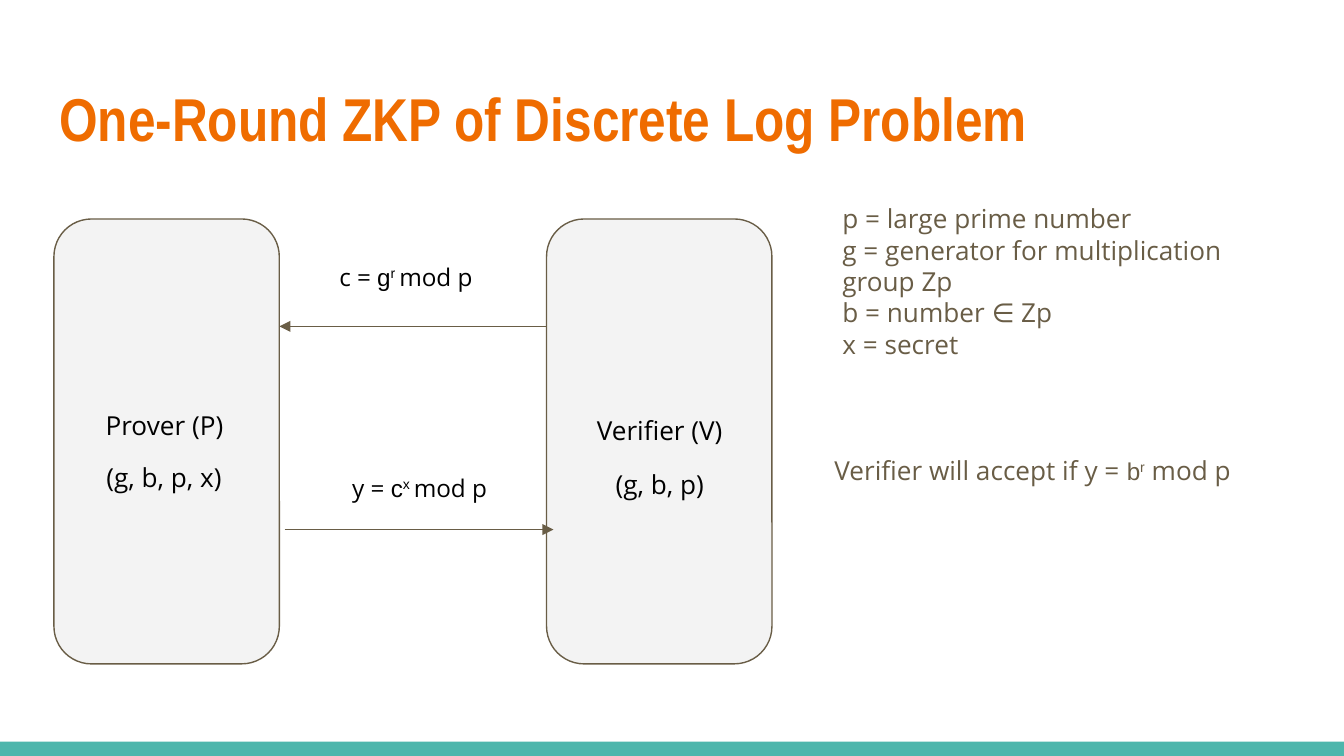
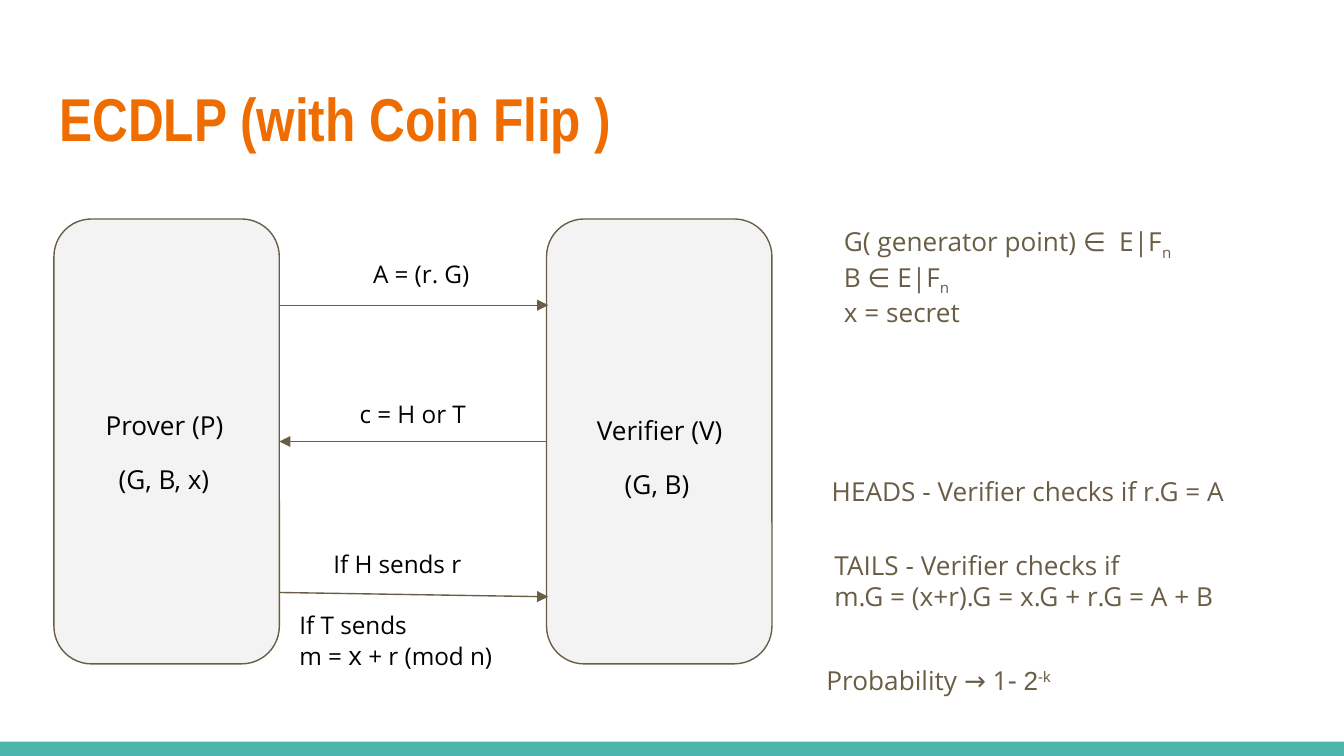
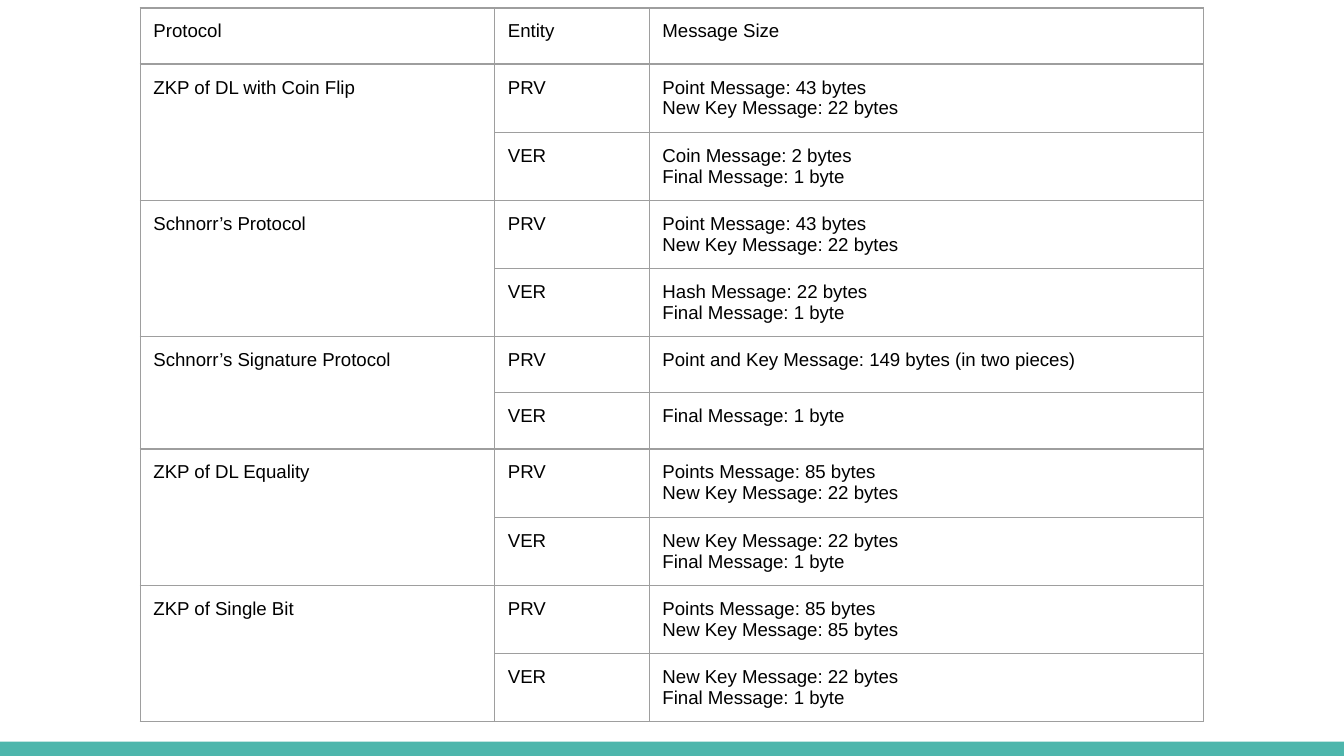
from dataclasses import dataclass

import pptx
import pptx.dml.color
import pptx.enum.shapes
import pptx.enum.text
import pptx.oxml
import pptx.oxml.ns
import pptx.util
from pptx.util import Cm

ALIGN = pptx.enum.text.PP_ALIGN
ANCHOR = pptx.enum.text.MSO_ANCHOR
AUTO_SIZE = pptx.enum.text.MSO_AUTO_SIZE
SHAPE = pptx.enum.shapes.MSO_SHAPE
CONNECTOR = pptx.enum.shapes.MSO_CONNECTOR
LEFT_SIDE, RIGHT_SIDE = 1, 3
TITLE_ONLY, BLANK = 5, 6


@dataclass(frozen=True)
class Theme:
    accent: str = "EF6C00"
    band: str = "4DB6AC"
    panel: str = "F3F3F3"
    muted: str = "695D46"
    ink: str = "000000"
    grid: str = "9E9E9E"
    title_font: str = "Arial Narrow"
    text_font: str = "Open Sans"
    plain_font: str = "Arial"
    title_size: float = 32.4
    text_size: float = 14
    message_size: float = 13
    dash_size: float = 15
    table_size: float = 10
    line_width: float = 0.75


THEME = Theme()
FRAME = dict.fromkeys(("margin_left", "margin_top", "margin_right", "margin_bottom"), Cm(0.25))
TITLE = {"name": THEME.title_font, "size": THEME.title_size, "color": THEME.accent, "bold": True}
PARTY = {"name": THEME.text_font, "size": THEME.text_size, "color": THEME.ink}
MESSAGE = {**PARTY, "size": THEME.message_size}
NOTE = {**PARTY, "color": THEME.muted}
TABLE = {"name": THEME.plain_font, "size": THEME.table_size, "color": THEME.ink}
PLAIN = {"name": THEME.plain_font}
RAISED = {**PLAIN, "baseline": 30000}
LOWERED = {"baseline": -25000}


def color(value):
    return pptx.dml.color.RGBColor.from_string(value)


def assign(target, values):
    for name, value in values.items():
        setattr(target, name, value)


def element(tag, **attributes):
    node = pptx.oxml.parse_xml(f"<a:{tag} {pptx.oxml.ns.nsdecls('a')}/>")
    for name, value in attributes.items():
        node.set(name, str(value))
    return node


class SlideMaker:
    def __init__(self, presentation, theme):
        self.presentation = presentation
        self.theme = theme
        self.slide = None

    def start(self, layout, title=None):
        self.slide = self.presentation.slides.add_slide(self.presentation.slide_layouts[layout])
        if title:
            shape = self.slide.shapes.title
            assign(shape, {"left": Cm(0.87), "top": Cm(1.24), "width": Cm(23.67), "height": Cm(1.96)})
            assign(shape.text_frame, {"auto_size": AUTO_SIZE.NONE, "vertical_anchor": ANCHOR.MIDDLE})
            self.fill_text(shape.text_frame, [title], TITLE)

    def master_band(self):
        band = self.box(SHAPE.RECTANGLE, 0, 14.02, 25.4, 0.27, self.theme.band)
        band.element.nvSpPr.cNvPr.set("id", "20")
        self.presentation.slide_master.element.cSld.spTree.append(band.element)

    def box(self, kind, left, top, width, height, fill, line=None):
        shape = self.slide.shapes.add_shape(kind, Cm(left), Cm(top), Cm(width), Cm(height))
        shape.shadow.inherit = False
        shape.fill.solid()
        shape.fill.fore_color.rgb = color(fill)
        if line:
            self.outline(shape.line, line)
        else:
            shape.line.fill.background()
        return shape

    def outline(self, line, value):
        line.color.rgb = color(value)
        line.width = pptx.util.Pt(self.theme.line_width)

    def fill_text(self, frame, paragraphs, style, align=ALIGN.LEFT):
        assign(frame, {**FRAME, "word_wrap": True})
        for index, content in enumerate(paragraphs):
            paragraph = frame.add_paragraph() if index else frame.paragraphs[0]
            paragraph.alignment = align
            runs = [(content, {})] if isinstance(content, str) else content
            for text, changes in runs:
                values = {**style, **changes}
                run = paragraph.add_run()
                run.text = text
                run.font.color.rgb = color(values.pop("color"))
                baseline = values.pop("baseline", None)
                values["size"] = pptx.util.Pt(values["size"])
                assign(run.font, values)
                if baseline:
                    run._r.get_or_add_rPr().set("baseline", str(baseline))

    def text(self, left, top, width, height, paragraphs, style, align=ALIGN.LEFT):
        shape = self.slide.shapes.add_textbox(Cm(left), Cm(top), Cm(width), Cm(height))
        self.fill_text(shape.text_frame, paragraphs, style, align)
        shape.text_frame.auto_size = AUTO_SIZE.SHAPE_TO_FIT_TEXT

    def arrow(self, begin_x, begin_y, end_x, end_y):
        points = map(Cm, (begin_x, begin_y, end_x, end_y))
        connector = self.slide.shapes.add_connector(CONNECTOR.STRAIGHT, *points)
        self.outline(connector.line, self.theme.muted)
        properties = connector.element.spPr
        properties.ln.append(element("tailEnd", type="triangle"))
        properties.append(element("effectLst"))
        return connector

    def parties(self):
        prover, verifier = (
            self.box(SHAPE.ROUNDED_RECTANGLE, left, 4.14, 4.26, 8.41, self.theme.panel, self.theme.muted)
            for left in (1.02, 10.33)
        )
        self.text(1.42, 7.49, 3.38, 1.12, ["Prover (P)"], PARTY, ALIGN.CENTER)
        self.text(10.92, 7.59, 3.1, 1.12, ["Verifier (V)"], PARTY, ALIGN.CENTER)
        return prover, verifier

    def table(self, left, top, widths, row_height, rows):
        frame = self.slide.shapes.add_table(
            len(rows), len(widths), Cm(left), Cm(top), Cm(sum(widths)), Cm(row_height * len(rows))
        )
        table = frame.table
        assign(table, {"first_row": False, "horz_banding": False})
        for column, width in zip(table.columns, widths):
            column.width = Cm(width)
        for row_index, row in enumerate(rows):
            table.rows[row_index].height = Cm(row_height)
            for column_index, paragraphs in enumerate(row):
                cell = table.cell(row_index, column_index)
                if paragraphs:
                    self.fill_text(cell.text_frame, paragraphs, TABLE)
                else:
                    table.cell(row_index - 1, column_index).merge(cell)
                assign(cell, FRAME)
                self.borders(cell)
                cell.fill.background()

    def borders(self, cell):
        properties = cell._tc.get_or_add_tcPr()
        for side in ("lnL", "lnR", "lnT", "lnB"):
            line = element(side, w=pptx.util.Pt(self.theme.line_width))
            fill = element("solidFill")
            fill.append(element("srgbClr", val=self.theme.grid))
            line.append(fill)
            properties.append(line)


def discrete_log(maker):
    maker.start(TITLE_ONLY, "One-Round ZKP of Discrete Log Problem")
    maker.master_band()
    maker.parties()
    maker.arrow(5.38, 10.01, 10.46, 10.01)
    maker.arrow(10.33, 6.17, 5.28, 6.17)
    maker.text(1.55, 8.48, 3.1, 1.12, ["(g, b, p, x)"], PARTY, ALIGN.CENTER)
    maker.text(10.92, 8.61, 3.1, 1.12, ["(g, b, p)"], PARTY, ALIGN.CENTER)
    for left, top, name, base, power in ((5.79, 4.7, "c", "g", "r "), (6.05, 8.69, "y", "c", "x ")):
        formula = [(f"{name} = ", {}), (base, PLAIN), (power, RAISED), ("mod p", {})]
        maker.text(left, top, 3.76, 1.07, [formula], MESSAGE, ALIGN.CENTER)
    definitions = [
        "p = large prime number",
        "g = generator for multiplication group Zp",
        "b = number ∈ Zp",
        "x = secret",
    ]
    maker.text(15.67, 3.58, 8.76, 3.51, definitions, NOTE)
    small = {"size": THEME.message_size}
    check = [
        ("Verifier will accept if y = ", {}),
        ("b", {**PLAIN, **small}),
        ("r", {**RAISED, **small}),
        (" mod p", {}),
    ]
    maker.text(15.52, 8.33, 8.53, 1.12, [check], NOTE)


def coin_flip(maker):
    maker.start(TITLE_ONLY, "ECDLP (with Coin Flip )")
    prover, verifier = maker.parties()
    maker.arrow(5.28, 5.77, 10.36, 5.77)
    challenge = maker.arrow(10.33, 8.35, 5.28, 8.35)
    challenge.begin_connect(verifier, LEFT_SIDE)
    challenge.end_connect(prover, RIGHT_SIDE)
    maker.arrow(5.28, 11.2, 10.36, 11.28)
    maker.text(1.22, 8.51, 3.76, 1.12, ["(G, B, x)"], PARTY, ALIGN.CENTER)
    maker.text(10.54, 8.61, 3.76, 1.12, ["(G, B)"], PARTY, ALIGN.CENTER)
    maker.text(5.84, 4.65, 4.24, 1.07, ["A = (r. G)"], MESSAGE, ALIGN.CENTER)
    maker.text(5.92, 7.29, 3.76, 1.07, ["c = H or T"], MESSAGE, ALIGN.CENTER)
    maker.text(6.05, 10.13, 3.76, 1.07, ["If H sends r"], MESSAGE)
    response = [("m = ", {}), ("x", {"size": THEME.text_size}), (" + r (mod n)", {})]
    maker.text(5.41, 11.28, 4.67, 1.68, ["If T sends", response], MESSAGE)
    maker.text(15.47, 8.74, 8.53, 1.12, ["HEADS - Verifier checks if r.G = A"], NOTE)
    tails = ["TAILS - Verifier checks if", "m.G = (x+r).G = x.G + r.G = A + B"]
    maker.text(15.52, 10.13, 8.43, 1.7, tails, NOTE)
    probability = [
        ("Probability → 1", {}),
        ("-", {"size": THEME.dash_size}),
        (" ", {}),
        ("2", PLAIN),
        ("-k", RAISED),
    ]
    maker.text(15.37, 12.27, 8.13, 1.14, [probability], NOTE)
    definitions = [
        [("G( generator point) ∈  E|F", {}), ("n", LOWERED)],
        [("B ∈ E|F", {}), ("n", LOWERED)],
        "x = secret",
    ]
    maker.text(15.7, 4.01, 8.33, 2.31, definitions, NOTE)


def message_sizes(maker):
    maker.start(BLANK)
    new_key = "New Key Message: 22 bytes"
    final = "Final Message: 1 byte"
    point = "Point Message: 43 bytes"
    points = "Points Message: 85 bytes"
    protocols = {
        "ZKP of DL with Coin Flip": ([point, new_key], ["Coin Message: 2 bytes", final]),
        "Schnorr’s Protocol": ([point, new_key], ["Hash Message: 22 bytes", final]),
        "Schnorr’s Signature Protocol": (["Point and Key Message: 149 bytes (in two pieces)"], [final]),
        "ZKP of DL Equality": ([points, new_key], [new_key, final]),
        "ZKP of Single Bit": ([points, "New Key Message: 85 bytes"], [new_key, final]),
    }
    rows = [(["Protocol"], ["Entity"], ["Message Size"])]
    for protocol, (prover, verifier) in protocols.items():
        rows += [([protocol], ["PRV"], prover), (None, ["VER"], verifier)]
    maker.table(2.65, 0.15, (6.7, 2.92, 10.48), 1.06, rows)


def main():
    presentation = pptx.Presentation()
    assign(presentation, {"slide_width": Cm(25.4), "slide_height": Cm(14.29)})
    maker = SlideMaker(presentation, THEME)
    for build in (discrete_log, coin_flip, message_sizes):
        build(maker)
    presentation.save("out.pptx")


if __name__ == "__main__":
    main()
